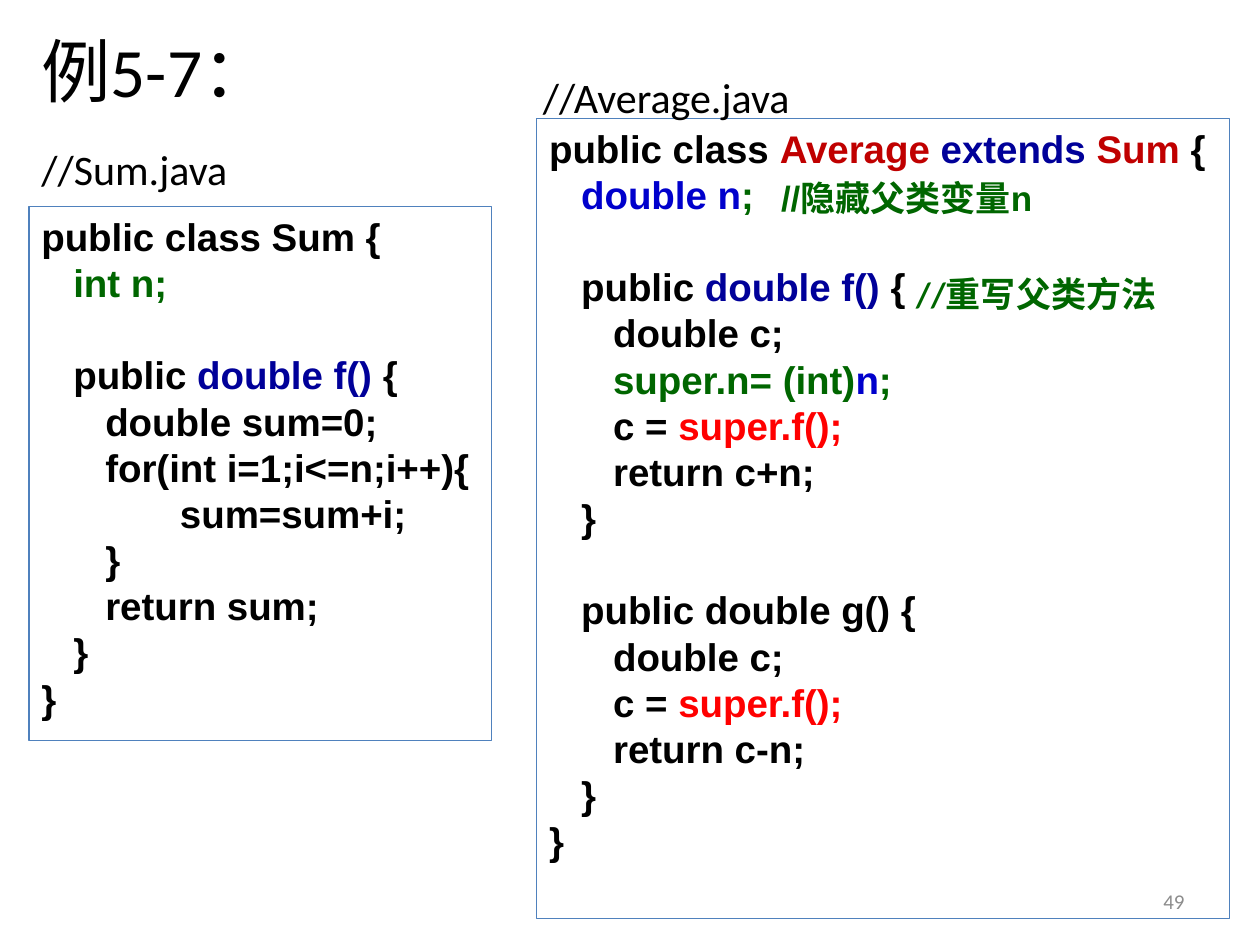
from dataclasses import dataclass

from pptx import Presentation
from pptx import util as u
from pptx.dml.color import RGBColor
from pptx.enum import shapes, text


@dataclass(frozen=True)
class Theme:
    head: str = "Calibri"
    mono: str = "Arial"
    black: str = "000000"
    green: str = "006600"
    navy: str = "000099"
    blue: str = "0000CC"
    wine: str = "C00000"
    red: str = "FF0000"
    gray: str = "8C8C8C"
    edge: str = "4F81BD"
    title: float = 39.6
    label: float = 24
    code: float = 22
    note: float = 20
    small: float = 12
    pitch: float = 26.4  # distance between code lines


T = Theme()


class Page:
    def __init__(self, deck):
        self.slide = deck.slides.add_slide(deck.slide_layouts[5])

    def style(self, font, name, size, color=None, bold=False):
        font.name, font.size, font.bold = name, u.Pt(size), bold
        if color:
            font.color.rgb = RGBColor.from_string(color)

    def title(self, words, box):
        shape = self.slide.shapes.title
        shape.left, shape.top, shape.width, shape.height = map(u.Inches, box)
        frame = shape.text_frame
        frame.text = words
        frame.vertical_anchor = text.MSO_ANCHOR.MIDDLE
        para = frame.paragraphs[0]
        para.alignment = text.PP_ALIGN.LEFT
        self.style(para.font, T.head, T.title, T.black)

    def label(self, words, box, size=T.label, color=T.black, name=T.head,
              bold=False, align=text.PP_ALIGN.LEFT, anchor=text.MSO_ANCHOR.TOP):
        frame = self.slide.shapes.add_textbox(*map(u.Inches, box)).text_frame
        frame.word_wrap = True
        frame.vertical_anchor = anchor
        para = frame.paragraphs[0]
        para.text, para.alignment = words, align
        self.style(para.font, name, size, color, bold)

    def code(self, lines, box):
        """Each line is a list of (words, color) runs; None leaves a gap."""
        shape = self.slide.shapes.add_shape(
            shapes.MSO_SHAPE.RECTANGLE, *map(u.Inches, box))
        shape.shadow.inherit = False
        shape.fill.background()
        shape.line.color.rgb = RGBColor.from_string(T.edge)
        shape.line.width = u.Pt(0.75)
        frame = shape.text_frame
        frame.word_wrap = True
        frame.vertical_anchor = text.MSO_ANCHOR.TOP
        para, gap = None, 0
        for line in lines:
            if line is None:
                gap = T.pitch
                continue
            para = frame.add_paragraph() if para else frame.paragraphs[0]
            para.alignment = text.PP_ALIGN.LEFT
            para.line_spacing = u.Pt(T.pitch)
            para.space_before = u.Pt(gap)
            gap = 0
            # Hanging indent for wrapped code
            props = para._p.get_or_add_pPr()
            props.set("marL", str(u.Inches(0.38)))
            props.set("indent", str(-u.Inches(0.38)))
            self.style(para.font, T.mono, T.code, bold=True)
            for words, color in line:
                run = para.add_run()
                run.text = words
                run.font.color.rgb = RGBColor.from_string(color)


def plain(*lines):
    return [[(line, T.black)] for line in lines]


# Code lines found in both classes
OPEN = [("   public ", T.black), ("double f() ", T.navy), ("{", T.black)]
CALL = [("      c = ", T.black), ("super.f();", T.red)]

SUM = [
    [("public class Sum {", T.black)],
    [("   int n;", T.green)],
    None,
    OPEN,
    *plain("      double sum=0;",
           "      for(int i=1;i<=n;i++){",
           "             sum=sum+i;",
           "      }",
           "      return sum;",
           "   }",
           "}"),
]

AVERAGE = [
    [("public class ", T.black), ("Average ", T.wine), ("extends", T.navy),
     (" Sum ", T.wine), ("{", T.black)],
    [("   double n", T.blue), (";", T.green)],
    None,
    OPEN,
    *plain("      double c;"),
    [("      super.n= (int)", T.green), ("n", T.blue), (";", T.green)],
    CALL,
    *plain("      return c+n;", "   }"),
    None,
    *plain("   public double g() {", "      double c;"),
    CALL,
    *plain("      return c-n;", "   }", "}"),
]


def main():
    deck = Presentation()
    deck.slide_width, deck.slide_height = u.Inches(10), u.Inches(7.5)
    page = Page(deck)

    # Title and code panels
    page.title("例5-7：", (0.23, 0.23, 4.61, 0.65))
    page.code(SUM, (0.23, 1.64, 3.67, 4.24))
    page.label("49", (7.17, 6.95, 2.33, 0.4), T.small, T.gray,
               align=text.PP_ALIGN.RIGHT, anchor=text.MSO_ANCHOR.MIDDLE)
    page.code(AVERAGE, (4.26, 0.94, 5.5, 6.35))

    # File names
    page.label("//Sum.java", (0.23, 1.09, 1.95, 0.5))
    page.label("//Average.java", (4.21, 0.52, 2.58, 0.5))

    # Remarks beside the code
    page.label("//重写父类方法", (7.17, 2.11, 2.14, 0.44), T.note, T.green,
               bold=True)
    page.label("//隐藏父类变量n", (6.1, 1.35, 2.22, 0.44), T.note, T.green,
               T.mono, bold=True)

    deck.save("out.pptx")


if __name__ == "__main__":
    main()
